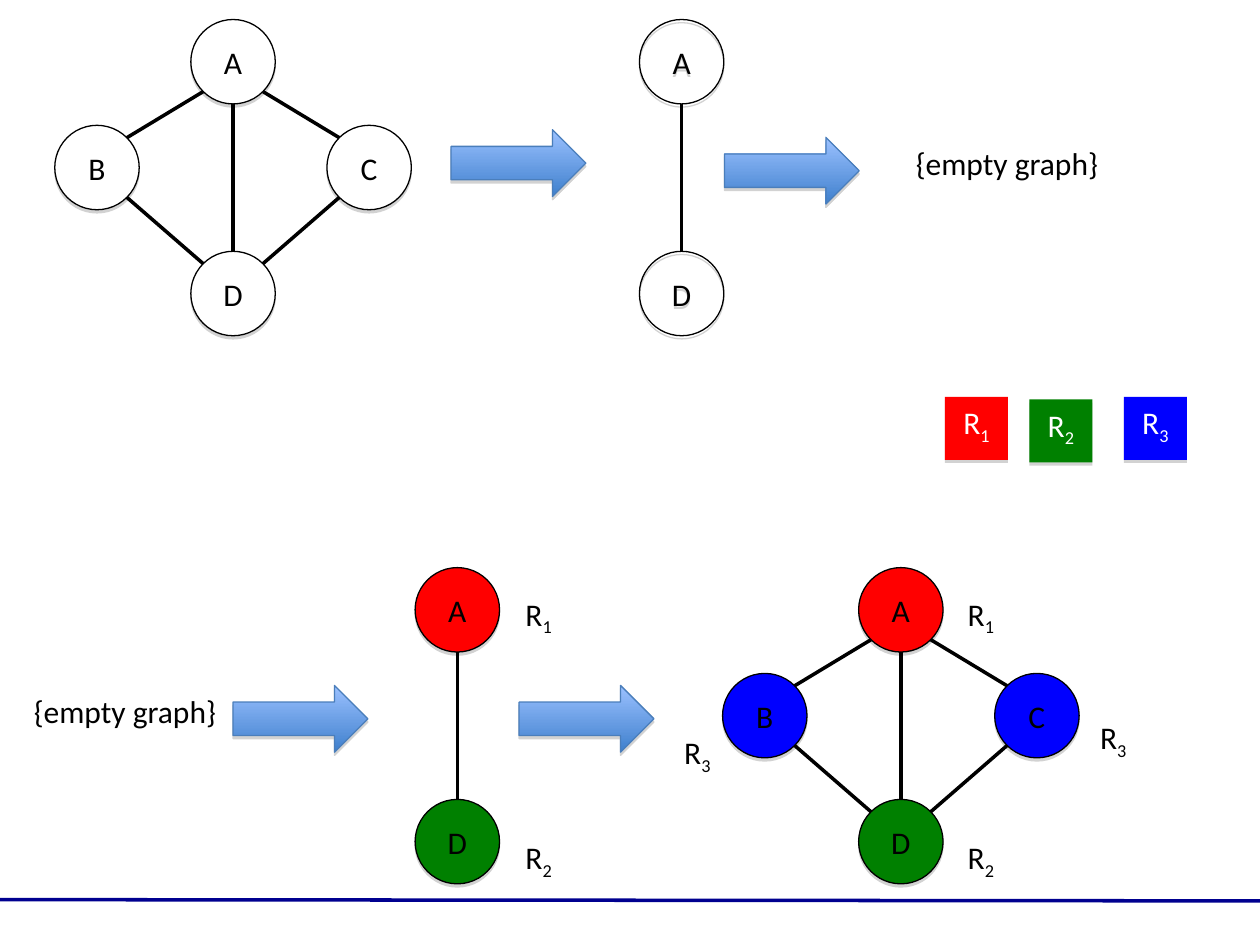
from dataclasses import dataclass
from math import copysign, sqrt
from typing import Optional

from lxml import etree
from pptx import Presentation
from pptx.dml.color import RGBColor
from pptx.enum.shapes import MSO_CONNECTOR, MSO_SHAPE
from pptx.enum.text import MSO_ANCHOR, MSO_AUTO_SIZE, PP_ALIGN
from pptx.oxml.ns import qn
from pptx.util import Inches, Pt

CIRCLE, SQUARE, ARROW = MSO_SHAPE.OVAL, MSO_SHAPE.RECTANGLE, MSO_SHAPE.RIGHT_ARROW
STRAIGHT = MSO_CONNECTOR.STRAIGHT
LEFT, CENTER = PP_ALIGN.LEFT, PP_ALIGN.CENTER
TOP, MIDDLE = MSO_ANCHOR.TOP, MSO_ANCHOR.MIDDLE
FIT_SHAPE = MSO_AUTO_SIZE.SHAPE_TO_FIT_TEXT

BLACK, WHITE, NAVY = "000000", "FFFFFF", "000090"
RED, GREEN, BLUE = "FF0000", "008000", "0000FF"
DIAMETER = 0.67

# Node centres relative to node A, and the edges between nodes
OFFSETS = {"A": (0, 0), "B": (-1.08, 0.84), "C": (1.08, 0.84), "D": (0, 1.84)}
EDGES = ("AB", "BD", "AC", "CD", "AD")


@dataclass
class Graph:
    x: float
    y: float
    nodes: str
    fills: Optional[dict[str, str]]


@dataclass
class Label:
    left: float
    top: float
    text: str
    subscript: str = ""


@dataclass
class Register:
    left: float
    top: float
    number: str
    fill: str


REGISTER_COLORS = {"A": RED, "B": BLUE, "C": BLUE, "D": GREEN}
GRAPHS = [
    Graph(1.85, 0.49, "ABCD", dict.fromkeys("ABCD", WHITE)),
    Graph(5.41, 0.49, "AD", None),
    Graph(3.63, 4.84, "AD", REGISTER_COLORS),
    Graph(7.15, 4.84, "ABCD", REGISTER_COLORS),
]
ARROWS = [(3.58, 1.03), (5.75, 1.09), (1.85, 5.44), (4.12, 5.44)]
REGISTERS = [
    Register(7.5, 3.15, "1", RED),
    Register(8.17, 3.17, "2", GREEN),
    Register(8.92, 3.15, "3", BLUE),
]
LABELS = [
    Label(7.17, 1.09, "{empty graph}"),
    Label(0.17, 5.44, "{empty graph}"),
    Label(4.07, 4.67, "R", "1"),
    Label(4.07, 6.6, "R", "2"),
    Label(7.58, 4.67, "R", "1"),
    Label(7.58, 6.6, "R", "2"),
    Label(8.63, 5.65, "R", "3"),
    Label(5.33, 5.77, "R", "3"),
]


def color(value: str) -> RGBColor:
    return RGBColor.from_string(value)


def add_shadow(shape) -> None:
    """Give the shape a crisp, faint shadow just below it."""
    shape.shadow.inherit = False
    effects = shape._element.spPr.find(qn("a:effectLst"))
    shadow = etree.SubElement(effects, qn("a:outerShdw"), blurRad="0",
                              dist=str(Pt(1.8)), dir="5400000", rotWithShape="0")
    tint = etree.SubElement(shadow, qn("a:srgbClr"), val="808080")
    etree.SubElement(tint, qn("a:alpha"), val="35000")


def write(shape, text: str, subscript: str = "", ink: str = BLACK,
          align=CENTER, anchor=TOP) -> None:
    frame = shape.text_frame
    frame.vertical_anchor = anchor
    para = frame.paragraphs[0]
    para.text = text
    para.alignment = align
    if subscript:
        span = para.add_run()
        span.text = subscript
        span.font._element.set("baseline", "-25000")
    for span in para.runs:
        span.font.name = "Calibri"
        span.font.size = Pt(18)
        span.font.color.rgb = color(ink)


def add_line(page, x1: float, y1: float, x2: float, y2: float, ink: str = BLACK) -> None:
    line = page.shapes.add_connector(STRAIGHT, Inches(x1), Inches(y1), Inches(x2), Inches(y2))
    line.line.color.rgb = color(ink)
    line.line.width = Pt(2)
    etree.SubElement(line._element.spPr, qn("a:effectLst"))


def add_node(page, x: float, y: float, name: str, fill: Optional[str]) -> None:
    node = page.shapes.add_shape(CIRCLE, Inches(x - DIAMETER / 2), Inches(y - DIAMETER / 2),
                                 Inches(DIAMETER), Inches(DIAMETER))
    if fill is None:
        node.fill.background()
    else:
        node.fill.solid()
        node.fill.fore_color.rgb = color(fill)
    node.line.color.rgb = color(BLACK)
    node.line.width = Pt(0.75)
    add_shadow(node)
    write(node, name, anchor=MIDDLE)


def add_graph(page, graph: Graph) -> None:
    centers = {name: (graph.x + OFFSETS[name][0], graph.y + OFFSETS[name][1])
               for name in graph.nodes}
    for name, (x, y) in centers.items():
        add_node(page, x, y, name, graph.fills[name] if graph.fills else None)
    for start, end in EDGES:
        if start not in centers or end not in centers:
            continue
        (x1, y1), (x2, y2) = centers[start], centers[end]
        # Slanted edges meet the circles at 45 degrees, upright ones at top and bottom
        if x1 == x2:
            dx, dy = 0, DIAMETER / 2
        else:
            dy = DIAMETER / 2 / sqrt(2)
            dx = copysign(dy, x2 - x1)
        add_line(page, x1 + dx, y1 + dy, x2 - dx, y2 - dy)


def add_arrow(page, left: float, top: float) -> None:
    arrow = page.shapes.add_shape(ARROW, Inches(left), Inches(top), Inches(1.07), Inches(0.53))
    arrow.fill.gradient()
    arrow.fill.gradient_angle = 270
    for stop, position, value in zip(arrow.fill.gradient_stops, (0, 1), ("9BC1FF", "3F80CD")):
        stop.position = position
        stop.color.rgb = color(value)
    arrow.line.color.rgb = color("4A7EBB")
    arrow.line.width = Pt(0.75)
    add_shadow(arrow)


def add_register(page, register: Register) -> None:
    square = page.shapes.add_shape(SQUARE, Inches(register.left), Inches(register.top),
                                   Inches(0.5), Inches(0.5))
    square.fill.solid()
    square.fill.fore_color.rgb = color(register.fill)
    square.line.fill.background()
    add_shadow(square)
    write(square, "R", register.number, WHITE)


def add_label(page, label: Label) -> None:
    width, height = (0.41, 0.44) if label.subscript else (1.65, 0.4)
    box = page.shapes.add_textbox(Inches(label.left), Inches(label.top),
                                  Inches(width), Inches(height))
    box.text_frame.word_wrap = False
    box.text_frame.auto_size = FIT_SHAPE
    write(box, label.text, label.subscript, align=CENTER if label.subscript else LEFT)


def main() -> None:
    deck = Presentation()
    deck.slide_width, deck.slide_height = Inches(10), Inches(7.5)
    page = deck.slides.add_slide(deck.slide_layouts[6])

    # Footer rule
    add_line(page, 0, 7.14, 10, 7.15, NAVY)

    # Graphs being emptied (top) and rebuilt with colours (bottom)
    for graph in GRAPHS:
        add_graph(page, graph)
    for left, top in ARROWS:
        add_arrow(page, left, top)

    # Available registers and captions
    for register in REGISTERS:
        add_register(page, register)
    for label in LABELS:
        add_label(page, label)

    deck.save("out.pptx")


if __name__ == "__main__":
    main()
